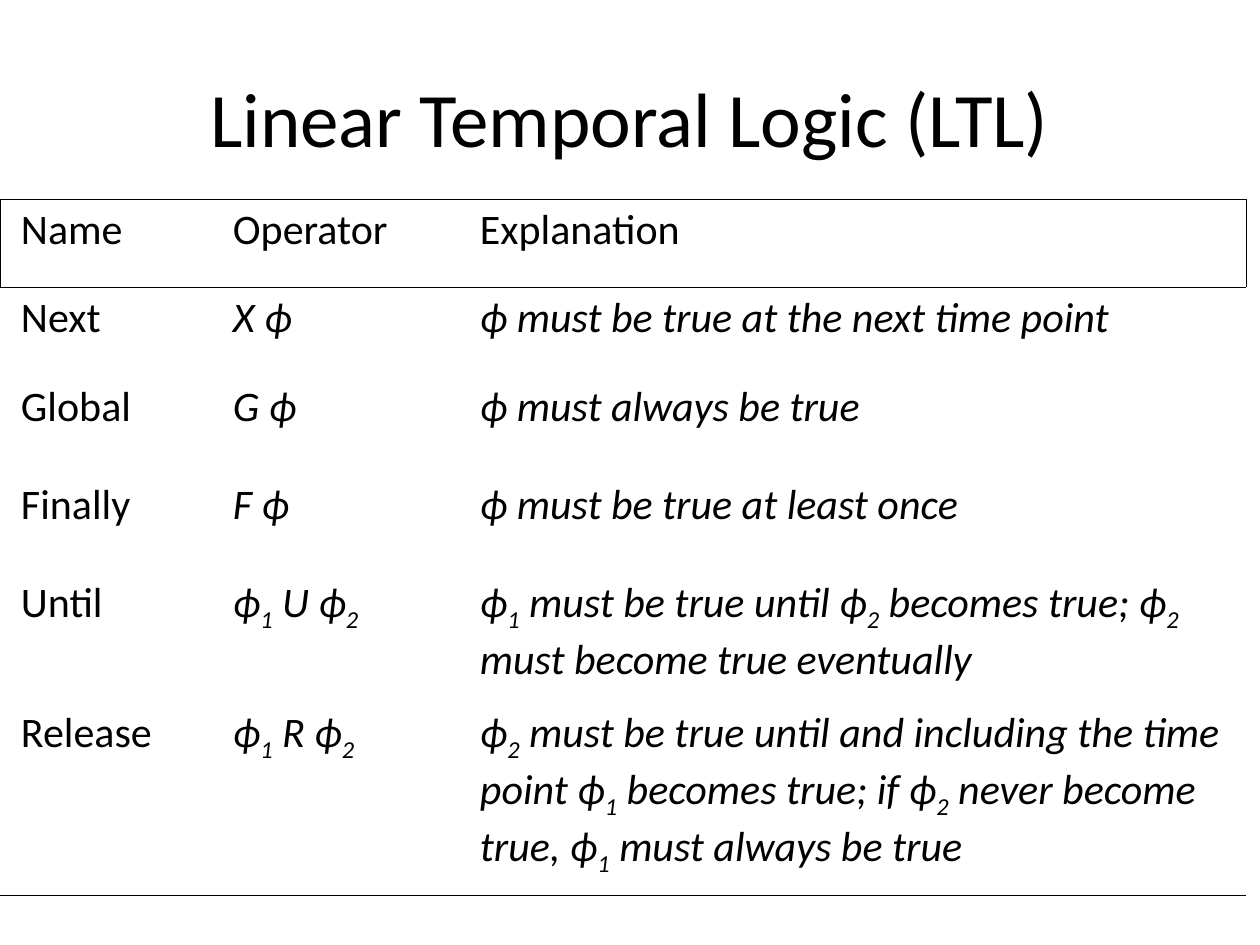
from typing import NamedTuple

from lxml.etree import SubElement
from pptx import Presentation
from pptx.dml.color import RGBColor
from pptx.oxml.ns import qn
from pptx.util import Emu, Pt

COLORS = {"ink": "000000"}
FONT = "Calibri"
PX_PER_INCH = 126
BORDER_PT = 0.45
COLUMN_WIDTHS = (212, 247, 787)
ROW_HEIGHTS = (88, 89, 98, 98, 130, 194)
INSET_X, INSET_Y = 21, 6
SUBSCRIPT_MARK = "_"


class Operator(NamedTuple):
    name: str
    formula: str
    explanation: str


HEADER = Operator("Name", "Operator", "Explanation")
OPERATORS = (
    Operator("Next", "X ϕ", "ϕ must be true at the next time point"),
    Operator("Global", "G ϕ", "ϕ must always be true"),
    Operator("Finally", "F ϕ", "ϕ must be true at least once"),
    Operator(
        "Until",
        "ϕ_1 U ϕ_2",
        "ϕ_1 must be true until ϕ_2 becomes true; ϕ_2 must become true eventually",
    ),
    Operator(
        "Release",
        "ϕ_1 R ϕ_2",
        "ϕ_2 must be true until and including the time point ϕ_1 becomes true; "
        "if ϕ_2 never become true, ϕ_1 must always be true",
    ),
)


def px(length: int) -> Emu:
    return Emu(round(length * 914400 / PX_PER_INCH))


def style_run(run, size: int, italic: bool = False) -> None:
    run.font.name = FONT
    run.font.size = Pt(size)
    run.font.italic = italic
    run.font.color.rgb = RGBColor.from_string(COLORS["ink"])


def write_formula(paragraph, text: str, italic: bool) -> None:
    first, *indexed = text.split(SUBSCRIPT_MARK)
    pieces = [(first, False)]
    for part in indexed:
        pieces += [(part[0], True), (part[1:], False)]
    for piece, subscript in pieces:
        if piece:
            run = paragraph.add_run()
            run.text = piece
            style_run(run, 24, italic)
            if subscript:
                run.font._element.set("baseline", "-25000")


def set_borders(cell, visible: set[str]) -> None:
    properties = cell._tc.get_or_add_tcPr()
    for side in "LRTB":
        line = SubElement(properties, qn(f"a:ln{side}"), w=str(Pt(BORDER_PT)))
        if side in visible:
            fill = SubElement(line, qn("a:solidFill"))
            SubElement(fill, qn("a:srgbClr"), val=COLORS["ink"])
        else:
            SubElement(line, qn("a:noFill"))


def visible_sides(row: int, column: int) -> set[str]:
    sides = set()
    if row <= 1:
        sides.add("T")
    if row in (0, len(OPERATORS)):
        sides.add("B")
    if row == 0 and column == 0:
        sides.add("L")
    if row == 0 and column == len(COLUMN_WIDTHS) - 1:
        sides.add("R")
    return sides


def add_operator_table(slide) -> None:
    entries = (HEADER, *OPERATORS)
    table = slide.shapes.add_table(
        len(entries), len(COLUMN_WIDTHS), px(0), px(199),
        px(sum(COLUMN_WIDTHS)), px(sum(ROW_HEIGHTS)),
    ).table
    table.first_row = False
    table.horz_banding = False
    for column, width in zip(table.columns, COLUMN_WIDTHS):
        column.width = px(width)
    for row, height in zip(table.rows, ROW_HEIGHTS):
        row.height = px(height)
    for row, entry in enumerate(entries):
        for column, text in enumerate(entry):
            cell = table.cell(row, column)
            cell.margin_left = cell.margin_right = px(INSET_X)
            cell.margin_top = cell.margin_bottom = px(INSET_Y)
            set_borders(cell, visible_sides(row, column))
            cell.fill.background()
            write_formula(cell.text_frame.paragraphs[0], text, row > 0 and column > 0)


def add_title(slide, text: str) -> None:
    title = slide.shapes.title
    title.left, title.top, title.width, title.height = map(px, (63, 38, 1134, 158))
    title.text_frame.text = text
    style_run(title.text_frame.paragraphs[0].runs[0], 44)


def main() -> None:
    presentation = Presentation()
    presentation.slide_width = px(1260)
    presentation.slide_height = px(945)
    slide = presentation.slides.add_slide(presentation.slide_layouts[5])
    add_title(slide, "Linear Temporal Logic (LTL)")
    add_operator_table(slide)
    presentation.save("out.pptx")


if __name__ == "__main__":
    main()
